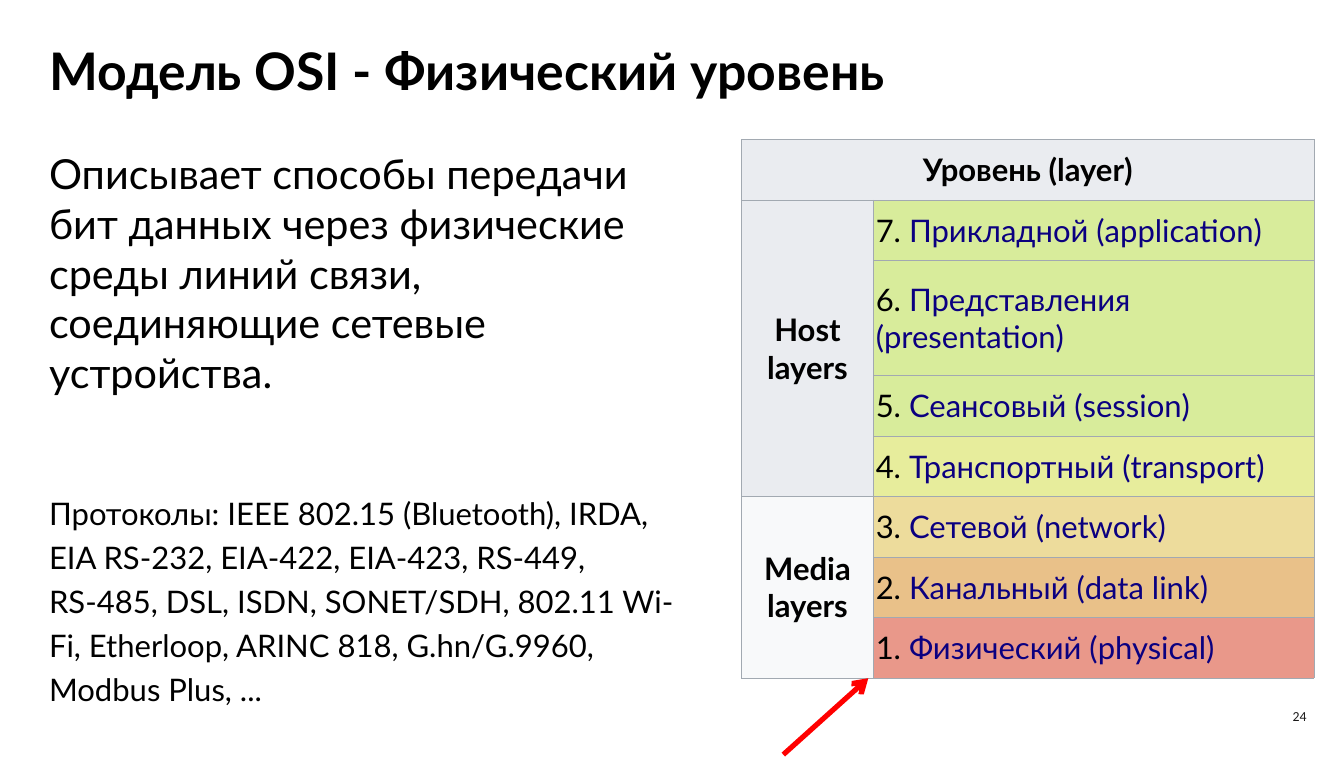
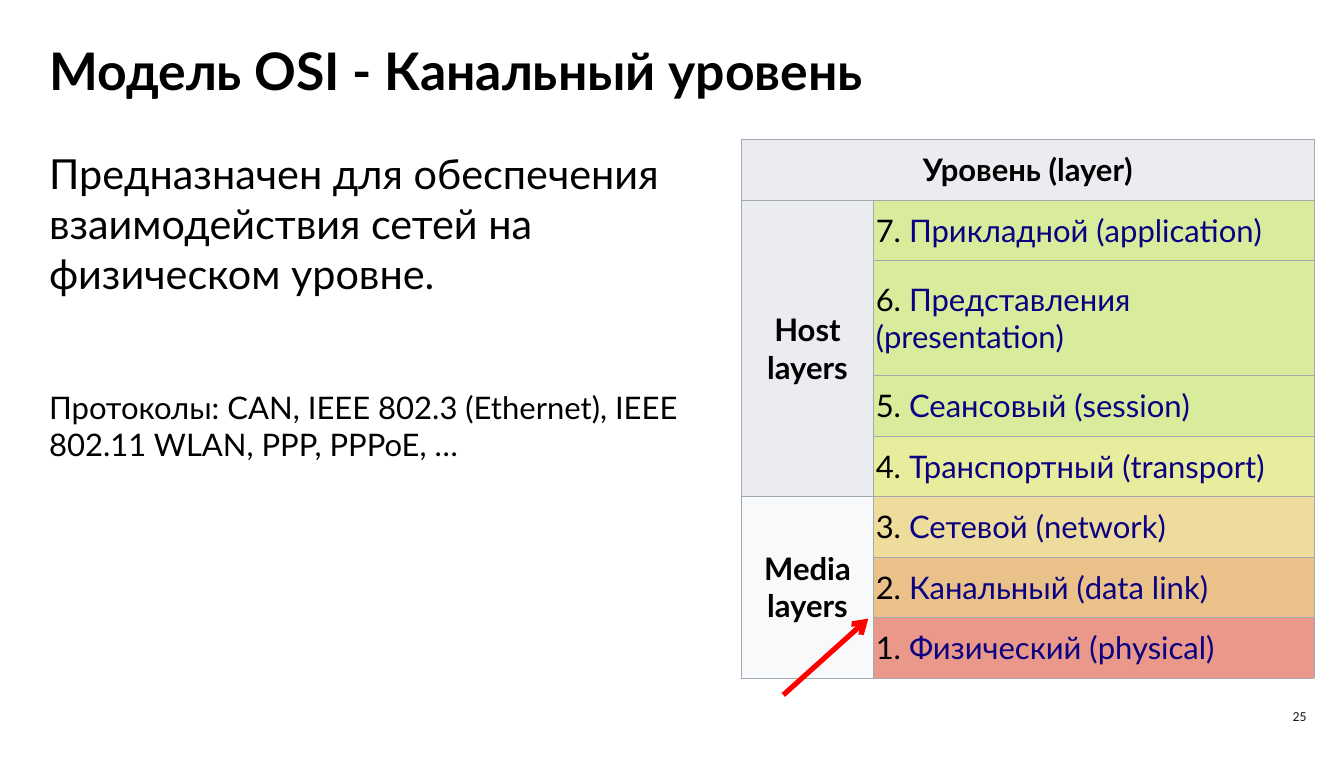
from lxml import etree
from pptx import Presentation
from pptx.dml.color import RGBColor
from pptx.enum import shapes, text
from pptx.oxml import parse_xml
from pptx.oxml.ns import nsdecls, qn
from pptx.util import Inches, Pt

COLORS = {
    "text": "000000", "number": "1A1919", "layer": "0B0080",
    "border": "A2A9B1", "arrow": "FF0000",
    "header": "EAECF0", "media": "F8F9FA",
    "green": "D8EC9B", "lime": "E7ED9C", "sand": "EDDC9C",
    "orange": "E9C189", "red": "E9988A",
}
TABLE_WIDTH, TABLE_HEIGHT = 9.22, 8.67
COLUMN_WIDTHS = [TABLE_WIDTH - 7.1, 7.1]
TALL_ROW = 1.85
SINGLE_ROW = (TABLE_HEIGHT - TALL_ROW) / 7
ROW_HEIGHTS = [SINGLE_ROW] * 2 + [TALL_ROW] + [SINGLE_ROW] * 5
LAYERS = [
    ("7. ", "Прикладной (application)", "green"),
    ("6. ", "Представления (presentation)", "green"),
    ("5. ", "Сеансовый (session)", "green"),
    ("4. ", "Транспортный (transport)", "lime"),
    ("3. ", "Сетевой (network)", "sand"),
    ("2. ", "Канальный (data link)", "orange"),
    ("1. ", "Физический (physical)", "red"),
]
# Merged headings: first row, last row, last column, lines, fill
HEADINGS = [
    (0, 0, 1, ["Уровень (layer)"], "header"),
    (1, 4, 0, ["Host", "layers"], "header"),
    (5, 7, 0, ["Media", "layers"], "media"),
]
# Page number, title, description, protocols, line spacing, arrow tip height
SLIDES = [
    (24, "Модель OSI - Физический уровень",
     "Описывает способы передачи бит данных через физические среды линий "
     "связи, соединяющие сетевые устройства.",
     "Протоколы: IEEE 802.15 (Bluetooth), IRDA, EIA RS-232, EIA-422, EIA-423, "
     "RS-449, RS-485, DSL, ISDN, SONET/SDH, 802.11 Wi-Fi, Etherloop, "
     "ARINC 818, G.hn/G.9960, Modbus Plus, ...", 1.18, 10.92),
    (25, "Модель OSI - Канальный уровень",
     "Предназначен для обеспечения взаимодействия сетей на физическом уровне.",
     "Протоколы: CAN, IEEE 802.3 (Ethernet), IEEE 802.11 WLAN, PPP, PPPoE, …",
     1.0, 9.96),
]


def add_run(paragraph, words, size, color="text", bold=False, font="Lato"):
    run = paragraph.add_run()
    run.text = words
    run.font.size = Pt(size)
    run.font.name = font
    run.font.bold = bold
    run.font.color.rgb = RGBColor.from_string(COLORS[color])


def add_box(slide, left, top, width, height, inset=True):
    box = slide.shapes.add_textbox(*map(Inches, (left, top, width, height)))
    frame = box.text_frame
    frame.word_wrap = True
    if not inset:
        frame.margin_left = frame.margin_right = 0
        frame.margin_top = frame.margin_bottom = 0
    return frame


# The page measures 55 by 31 centimetres
prs = Presentation()
prs.slide_width = Inches(55 / 2.54)
prs.slide_height = Inches(31 / 2.54)

for number, title, description, protocols, spacing, tip in SLIDES:
    slide = prs.slides.add_slide(prs.slide_layouts[6])

    # Page number
    page = add_box(slide, 19.98, 11.29, 1.17, 0.47)
    page.vertical_anchor = text.MSO_ANCHOR.MIDDLE
    page.paragraphs[0].alignment = text.PP_ALIGN.RIGHT
    add_run(page.paragraphs[0], str(number), 16, "number", font="Calibri")

    # Title
    heading = add_box(slide, 0.79, 0.62, 19.33, 1, inset=False)
    add_run(heading.paragraphs[0], title, 60, bold=True)

    # Layer table
    table = slide.shapes.add_table(
        len(ROW_HEIGHTS), len(COLUMN_WIDTHS), Inches(11.95), Inches(2.25),
        Inches(TABLE_WIDTH), Inches(TABLE_HEIGHT)).table
    table.first_row = table.horz_banding = False
    for column, width in zip(table.columns, COLUMN_WIDTHS):
        column.width = Inches(width)
    for row, height in zip(table.rows, ROW_HEIGHTS):
        row.height = Inches(height)

    for cell in table.iter_cells():
        cell.vertical_anchor = text.MSO_ANCHOR.MIDDLE
        cell.margin_left = cell.margin_right = Inches(0.04)
        cell.margin_top = cell.margin_bottom = Inches(0.02)
        for side in ("lnL", "lnR", "lnT", "lnB"):
            cell._tc.get_or_add_tcPr().append(parse_xml(
                f'<a:{side} {nsdecls("a")} w="{Pt(0.75)}"><a:solidFill>'
                f'<a:srgbClr val="{COLORS["border"]}"/></a:solidFill></a:{side}>'))

    for first, last, column, lines, fill in HEADINGS:
        cell = table.cell(first, 0)
        cell.merge(table.cell(last, column))
        cell.fill.solid()
        cell.fill.fore_color.rgb = RGBColor.from_string(COLORS[fill])
        paragraph = cell.text_frame.paragraphs[0]
        paragraph.alignment = text.PP_ALIGN.CENTER
        for index, line in enumerate(lines):
            if index:
                paragraph.add_line_break()
            add_run(paragraph, line, 36, bold=True)

    for row, (digit, layer, fill) in enumerate(LAYERS, start=1):
        cell = table.cell(row, 1)
        cell.fill.solid()
        cell.fill.fore_color.rgb = RGBColor.from_string(COLORS[fill])
        paragraph = cell.text_frame.paragraphs[0]
        add_run(paragraph, digit, 36)
        add_run(paragraph, layer, 36, "layer")

    # Description and protocols
    body = add_box(slide, 0.79, 2.39, 10.29, 8.63, inset=False)
    add_run(body.paragraphs[0], description, 48)
    examples = body.add_paragraph()
    examples.space_before = Pt(105.6)
    examples.line_spacing = spacing
    add_run(examples, protocols, 36)

    # Arrow to the current layer
    arrow = slide.shapes.add_connector(
        shapes.MSO_CONNECTOR.STRAIGHT,
        Inches(12.62), Inches(tip + 1.23), Inches(13.99), Inches(tip))
    arrow.line.color.rgb = RGBColor.from_string(COLORS["arrow"])
    arrow.line.width = Pt(6)
    etree.SubElement(arrow.line._get_or_add_ln(), qn("a:tailEnd"), type="arrow")
    etree.SubElement(arrow._element.spPr, qn("a:effectLst"))

prs.save("out.pptx")
